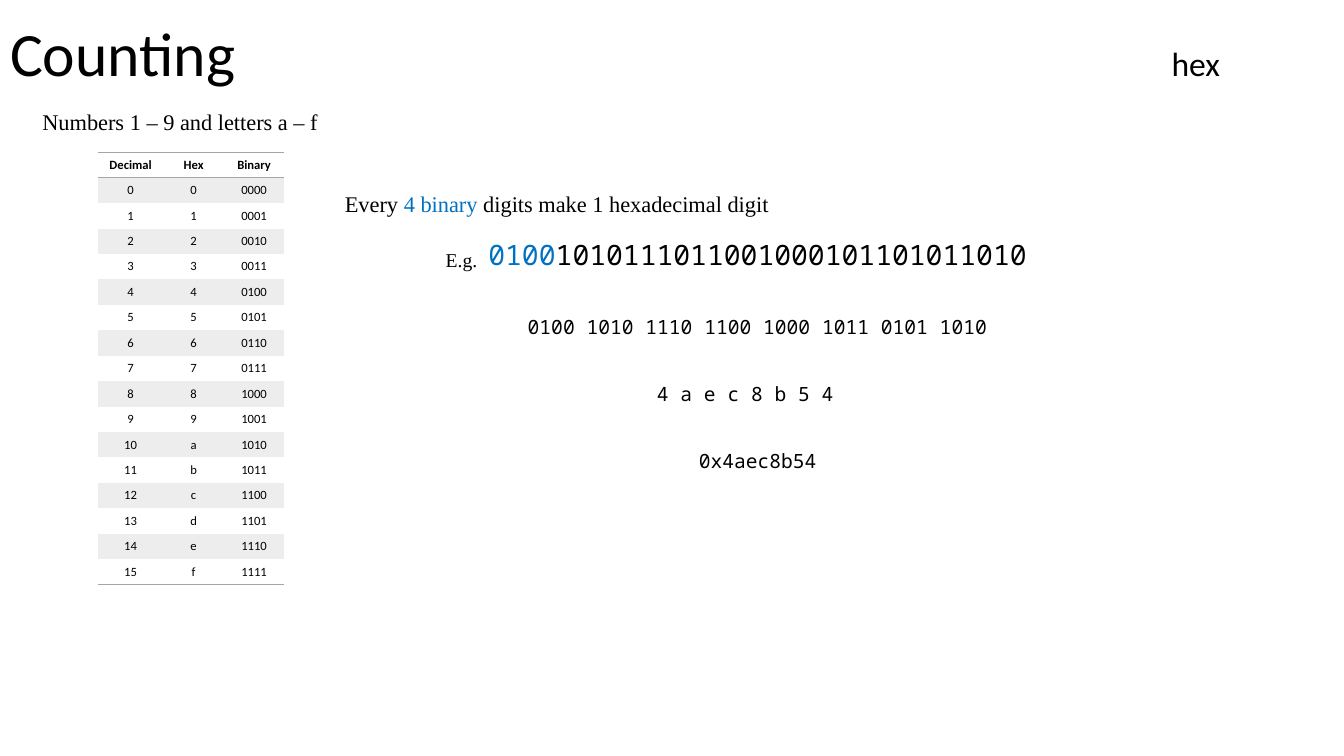
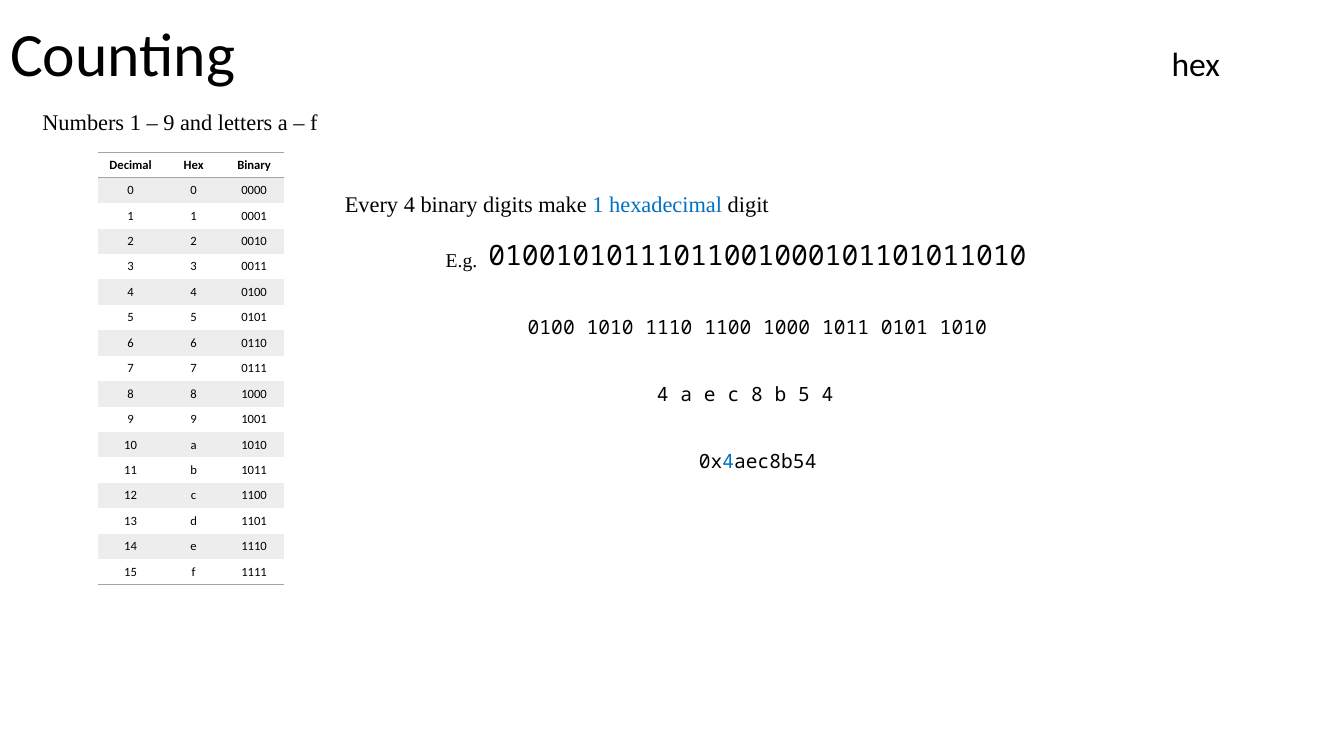
import pptx
import pptx.dml.color
import pptx.enum.text
import pptx.oxml.ns
import pptx.util
from lxml import etree

Inches = pptx.util.Inches
Pt = pptx.util.Pt
PP_ALIGN = pptx.enum.text.PP_ALIGN
ANCHOR = pptx.enum.text.MSO_ANCHOR
AUTO_SIZE = pptx.enum.text.MSO_AUTO_SIZE

BLACK = pptx.dml.color.RGBColor(0x00, 0x00, 0x00)
BLUE = pptx.dml.color.RGBColor(0x00, 0x70, 0xC0)
BAND_GREY = pptx.dml.color.RGBColor(0xED, 0xED, 0xED)
RULE_GREY = pptx.dml.color.RGBColor(0xA5, 0xA5, 0xA5)

SANS, SERIF, MONO = "Calibri", "Times New Roman", "Noto Sans Mono"
PLAIN_TABLE_STYLE = "{2D5ABB26-0587-4C30-8999-92F81FD0307C}"

# Regions: left, top, width, height in inches
TITLE_BOX = (0, -0.16, 13.33, 1.45)
BODY_BOX = (0.32, 1.02, 12.79, 1.72)
TABLE_BOX = (0.97, 1.51, 1.85, 4.25)
EXAMPLE_BOX = (4.72, 2.31, 5.59, 2.56)

BINARY = "01001010111011001000101101011010"
NIBBLES = " ".join(BINARY[i:i + 4] for i in range(0, len(BINARY), 4))


def add_child(parent, tag, **attributes):
    return etree.SubElement(parent, pptx.oxml.ns.qn(tag), attributes)


def place(shape, box):
    shape.left, shape.top, shape.width, shape.height = map(Inches, box)


def style_span(span, font, size, color=BLACK, bold=False):
    span.font.name = font
    span.font.size = Pt(size)
    span.font.bold = bold
    span.font.color.rgb = color


def write_line(para, text, font, size, highlight=""):
    """Write one line, with the first occurrence of the highlight in blue."""
    before, found, after = text.partition(highlight) if highlight else (text, "", "")
    for part, color in ((before, BLACK), (found, BLUE), (after, BLACK)):
        if part:
            span = para.add_run()
            span.text = part
            style_span(span, font, size, color)


def next_paragraph(frame, index):
    return frame.add_paragraph() if index else frame.paragraphs[0]


def add_title(page, box, title, topic):
    shape = page.shapes.title
    place(shape, box)
    frame = shape.text_frame
    frame.auto_size = AUTO_SIZE.NONE
    frame.vertical_anchor = ANCHOR.MIDDLE
    para = frame.paragraphs[0]
    para.alignment = PP_ALIGN.LEFT
    para.line_spacing = 0.9
    write_line(para, title + "\t", SANS, 44)
    write_line(para, topic, SANS, 24)
    # The topic starts at a tab stop
    tabs = add_child(para._p.get_or_add_pPr(), "a:tabLst")
    add_child(tabs, "a:tab", pos=str(Inches(11.52)), algn="l")


def add_body(page, box, rule_highlight):
    shape = page.placeholders[1]
    place(shape, box)
    frame = shape.text_frame
    frame.auto_size = AUTO_SIZE.NONE
    # Text, size, indent in inches, space before in points
    lines = (
        ("Numbers 1 – 9 and letters a – f", 16, 0, 0),
        ("Every 4 binary digits make 1 hexadecimal digit", 16, 3, 39.5),
        ("E.g.", 14, 4, 22),
    )
    for index, (text, size, indent, space) in enumerate(lines):
        para = next_paragraph(frame, index)
        para.space_before = Pt(space)
        write_line(para, text, SERIF, size, rule_highlight if index == 1 else "")
        properties = para._p.get_or_add_pPr()
        properties.set("marL", str(Inches(indent)))
        properties.set("indent", "0")
        add_child(properties, "a:buNone")


def add_border(cell, side):
    line = add_child(cell._tc.get_or_add_tcPr(), side, w=str(Pt(1)))
    add_child(add_child(line, "a:solidFill"), "a:srgbClr", val=str(RULE_GREY))


def add_number_table(page, box):
    rows = [("Decimal", "Hex", "Binary")]
    rows += [(str(n), format(n, "x"), format(n, "04b")) for n in range(16)]
    table = page.shapes.add_table(len(rows), 3, *map(Inches, box)).table
    table.horz_banding = False
    table._tbl.tblPr.find(pptx.oxml.ns.qn("a:tableStyleId")).text = PLAIN_TABLE_STYLE
    for column, width in zip(table.columns, (0.65, 0.6, 0.6)):
        column.width = Inches(width)
    for r, values in enumerate(rows):
        table.rows[r].height = Inches(box[3] / len(rows))
        for c, value in enumerate(values):
            cell = table.cell(r, c)
            cell.vertical_anchor = ANCHOR.MIDDLE
            cell.text_frame.text = value
            para = cell.text_frame.paragraphs[0]
            para.alignment = PP_ALIGN.CENTER
            style_span(para.runs[0], SANS, 9, bold=r == 0)
            # Rules around the header and below the last row
            if r == 0:
                add_border(cell, "a:lnT")
            if r in (0, len(rows) - 1):
                add_border(cell, "a:lnB")
            if r % 2:
                cell.fill.solid()
                cell.fill.fore_color.rgb = BAND_GREY
            else:
                cell.fill.background()


def add_example(page, box, binary_highlight, hex_highlight):
    frame = page.shapes.add_textbox(*map(Inches, box)).text_frame
    frame.word_wrap = False
    frame.auto_size = AUTO_SIZE.SHAPE_TO_FIT_TEXT
    lines = (
        (BINARY, 20, binary_highlight),
        (NIBBLES, 14, ""),
        ("4 a e c 8 b 5 4\t", 14, ""),
        ("0x4aec8b54", 14, hex_highlight),
    )
    for index, (text, size, highlight) in enumerate(lines):
        para = next_paragraph(frame, index)
        para.alignment = PP_ALIGN.CENTER
        para.space_before = Pt(31 if index else 0)
        write_line(para, text, MONO, size, highlight)


def add_counting_page(deck, rule_highlight, binary_highlight="", hex_highlight=""):
    page = deck.slides.add_slide(deck.slide_layouts[1])
    add_title(page, TITLE_BOX, "Counting", "hex")
    add_body(page, BODY_BOX, rule_highlight)
    add_number_table(page, TABLE_BOX)
    add_example(page, EXAMPLE_BOX, binary_highlight, hex_highlight)


def main():
    deck = pptx.Presentation()
    deck.slide_width = Inches(13.33)
    deck.slide_height = Inches(7.5)
    add_counting_page(deck, "4 binary", binary_highlight="0100")
    add_counting_page(deck, "1 hexadecimal", hex_highlight="4")
    deck.save("out.pptx")


if __name__ == "__main__":
    main()
